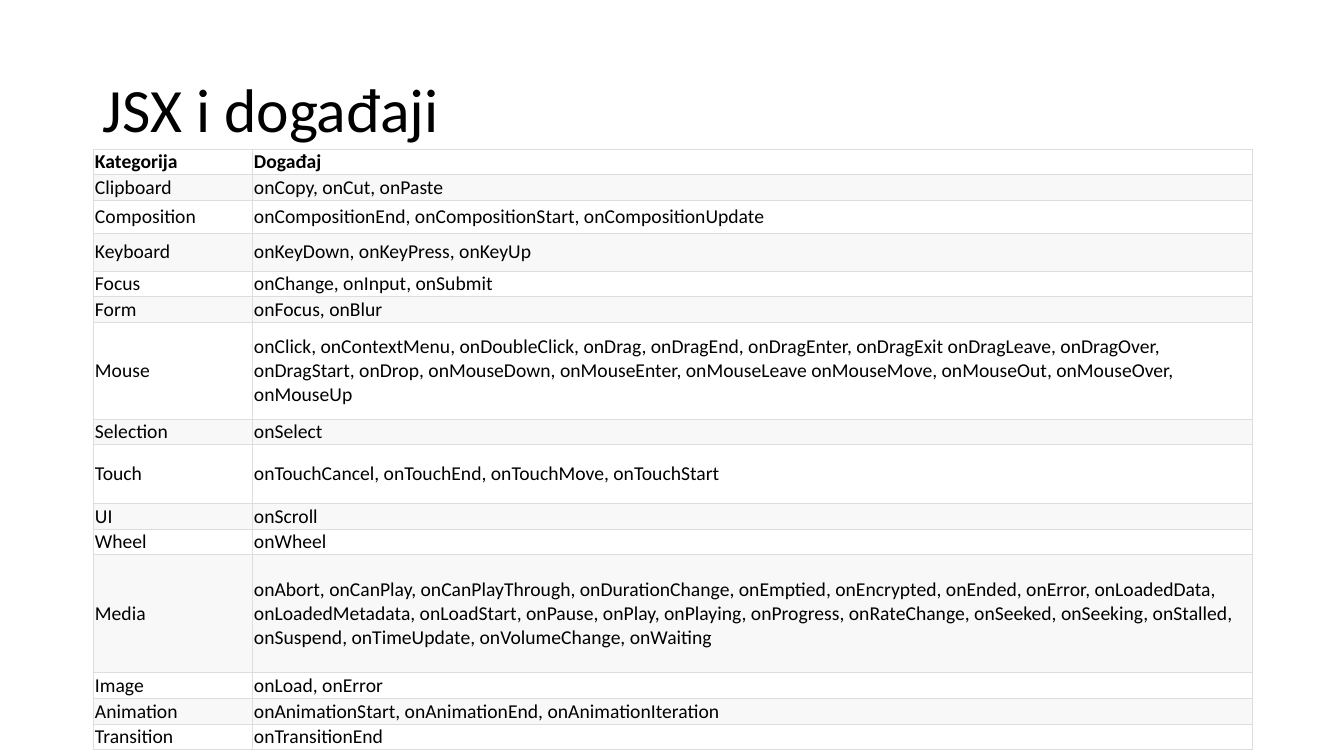
from lxml import etree
from pptx import Presentation
from pptx import util as u
from pptx.dml.color import RGBColor
from pptx.enum import text
from pptx.oxml.ns import qn

SCALE = 914400 / 100.8
BLACK = RGBColor(0, 0, 0)
WHITE = RGBColor(255, 255, 255)
PALE = RGBColor(0xF8, 0xF8, 0xF8)
GRID = RGBColor(0xDD, 0xDD, 0xDD)
LOW = 25

EVENTS = [
    ("Kategorija", "Događaj", LOW),
    ("Clipboard", "onCopy, onCut, onPaste", LOW),
    ("Composition", "onCompositionEnd, onCompositionStart, onCompositionUpdate", 33),
    ("Keyboard", "onKeyDown, onKeyPress, onKeyUp", 38),
    ("Focus", "onChange, onInput, onSubmit", LOW),
    ("Form", "onFocus, onBlur", LOW),
    ("Mouse",
     "onClick, onContextMenu, onDoubleClick, onDrag, onDragEnd, onDragEnter, "
     "onDragExit onDragLeave, onDragOver, onDragStart, onDrop, onMouseDown, "
     "onMouseEnter, onMouseLeave onMouseMove, onMouseOut, onMouseOver, onMouseUp", 97),
    ("Selection", "onSelect", LOW),
    ("Touch", "onTouchCancel, onTouchEnd, onTouchMove, onTouchStart", 59),
    ("UI", "onScroll", LOW),
    ("Wheel", "onWheel", LOW),
    ("Media",
     "onAbort, onCanPlay, onCanPlayThrough, onDurationChange, onEmptied, "
     "onEncrypted, onEnded, onError, onLoadedData, onLoadedMetadata, onLoadStart, "
     "onPause, onPlay, onPlaying, onProgress, onRateChange, onSeeked, onSeeking, "
     "onStalled, onSuspend, onTimeUpdate, onVolumeChange, onWaiting", 118),
    ("Image", "onLoad, onError", LOW),
    ("Animation", "onAnimationStart, onAnimationEnd, onAnimationIteration", LOW),
    ("Transition", "onTransitionEnd", LOW),
]


def px(n):
    return u.Emu(round(n * SCALE))


class Deck:
    face = "Calibri"

    def __init__(self, slide):
        self.slide = slide

    def label(self, para, words, size, bold=False):
        para.text = words
        font = para.font
        font.name, font.size, font.bold = self.face, u.Pt(size), bold
        font.color.rgb = BLACK

    def title(self, words, *box):
        frame = self.slide.shapes.add_textbox(*map(px, box)).text_frame
        frame.word_wrap = True
        frame.vertical_anchor = text.MSO_ANCHOR.MIDDLE
        para = frame.paragraphs[0]
        para.line_spacing = 0.9
        self.label(para, words, 44)

    def border(self, cell):
        props = cell._tc.get_or_add_tcPr()
        for spot, side in enumerate(("lnL", "lnR", "lnT", "lnB")):
            line = etree.Element(qn("a:" + side), w=str(u.Pt(0.6)))
            fill = etree.SubElement(line, qn("a:solidFill"))
            etree.SubElement(fill, qn("a:srgbClr"), val=str(GRID))
            props.insert(spot, line)

    def cell(self, cell, words, fill, bold):
        cell.margin_left = cell.margin_right = px(2)
        cell.margin_top = cell.margin_bottom = px(1)
        cell.vertical_anchor = text.MSO_ANCHOR.MIDDLE
        cell.fill.solid()
        cell.fill.fore_color.rgb = fill
        self.border(cell)
        self.label(cell.text_frame.paragraphs[0], words, 14, bold)

    def table(self, rows, left, top, widths):
        high = sum(row[-1] for row in rows)
        box = map(px, (left, top, sum(widths), high))
        table = self.slide.shapes.add_table(len(rows), len(widths), *box).table
        for col, width in zip(table.columns, widths):
            col.width = px(width)
        for r, (*words, height) in enumerate(rows):
            table.rows[r].height = px(height)
            for c, word in enumerate(words):
                self.cell(table.cell(r, c), word, PALE if r % 2 else WHITE, r == 0)


show = Presentation()
show.slide_width, show.slide_height = px(1344), px(756)
deck = Deck(show.slides.add_slide(show.slide_layouts[6]))
deck.title("JSX i događaji", 93, 40, 1159, 146)
deck.table(EVENTS, 93, 149, (159, 1000))
show.save("out.pptx")
